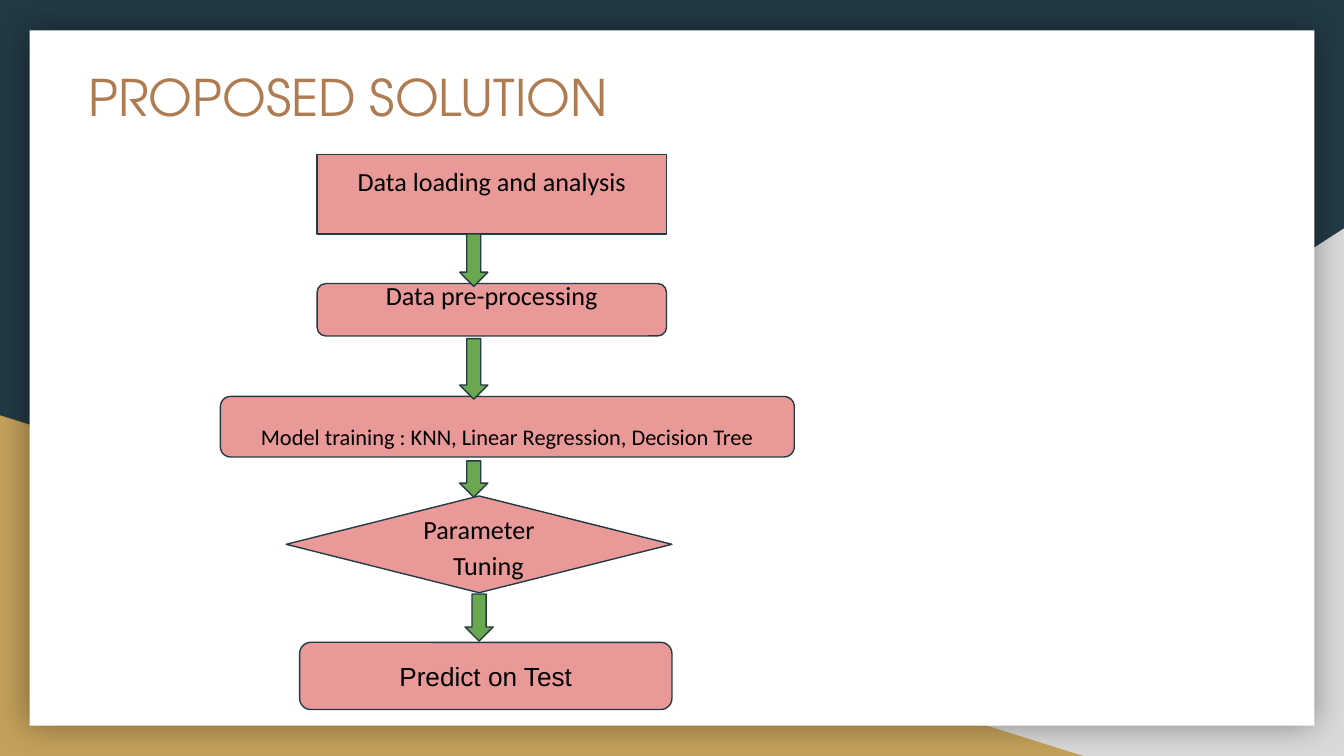
from dataclasses import dataclass

from lxml import etree
from pptx import Presentation
from pptx import util as u
from pptx.dml.color import RGBColor
from pptx.enum import shapes, text
from pptx.oxml import ns

KIND = shapes.MSO_SHAPE
COLORS = {
    "navy": "233A44", "grey": "D9D9D9", "gold": "C4A15A", "white": "FFFFFF",
    "bronze": "AF7B51", "pink": "EA9999", "green": "6AA84F", "black": "000000",
}
COLUMNS, ROWS = 100, 56.25
CELL = u.Inches(10) / COLUMNS
ARROW_WIDTH = 2.1


@dataclass(frozen=True)
class Area:
    """A rectangle in grid columns and rows."""
    left: float
    top: float
    width: float
    height: float


@dataclass(frozen=True)
class Step:
    """One step of the flow, with its label lines and text padding in rows."""
    area: Area
    lines: tuple[str, ...]
    kind: KIND = KIND.ROUNDED_RECTANGLE
    font: str = "Calibri"
    size: float = 14
    pad_top: float = 0
    pad_bottom: float = 0
    indents: tuple[float, ...] = (0,)


@dataclass(frozen=True)
class Arrow:
    """A downward arrow between two steps."""
    left: float
    top: float
    height: float


STEPS = (
    Step(Area(23.6, 11.5, 26, 5.9), ("Data loading and analysis",), KIND.RECTANGLE, pad_bottom=2),
    Step(Area(23.6, 21.1, 26, 3.9), ("Data pre-processing",), pad_bottom=2.2),
    Step(Area(16.4, 29.5, 42.7, 4.5),
         ("Model training : KNN, Linear Regression, Decision Tree",), size=12, pad_top=1.4),
    Step(Area(21.3, 36.9, 28.7, 7.2), ("Parameter", "Tuning"), KIND.DIAMOND, indents=(0, 1.4)),
    Step(Area(22.3, 47.8, 27.7, 5), ("Predict on Test",), font="Arial"),
)
ARROWS = (
    Arrow(34.2, 17.4, 3.9), Arrow(34.2, 25.2, 4.5),
    Arrow(34.2, 34.3, 2.7), Arrow(34.6, 44.2, 3.5),
)


def cells(count: float) -> u.Emu:
    """Turn grid cells into a length."""
    return u.Emu(round(count * CELL))


def place(area: Area) -> tuple[u.Emu, ...]:
    """Return left, top, width and height of an area."""
    return tuple(cells(n) for n in (area.left, area.top, area.width, area.height))


def rgb(name: str) -> RGBColor:
    """Look up a colour by name."""
    return RGBColor.from_string(COLORS[name])


def add_figure(page, kind, area: Area, fill: str, outlined: bool = False):
    """Draw a filled shape, with a thin navy outline if asked."""
    figure = page.shapes.add_shape(kind, *place(area))
    figure.shadow.inherit = False
    figure.fill.solid()
    figure.fill.fore_color.rgb = rgb(fill)
    if outlined:
        figure.line.color.rgb = rgb("navy")
        figure.line.width = u.Pt(0.75)
    else:
        figure.line.fill.background()
    return figure


def add_span(para, words: str, font: str, size: float, color: str) -> None:
    """Add one styled run to a paragraph."""
    span = para.add_run()
    span.text = words
    span.font.name = font
    span.font.size = u.Pt(size)
    span.font.color.rgb = rgb(color)


def add_step(page, step: Step) -> None:
    """Draw a step with its centred label."""
    frame = add_figure(page, step.kind, step.area, "pink", True).text_frame
    frame.word_wrap = True
    frame.vertical_anchor = text.MSO_ANCHOR.MIDDLE
    frame.margin_left = frame.margin_right = 0
    frame.margin_top = cells(step.pad_top)
    frame.margin_bottom = cells(step.pad_bottom)
    for index, (words, indent) in enumerate(zip(step.lines, step.indents)):
        para = frame.add_paragraph() if index else frame.paragraphs[0]
        para.alignment = text.PP_ALIGN.CENTER
        if len(step.lines) > 1:
            para.line_spacing = 1.15
        if indent:
            para._p.get_or_add_pPr().set("marL", str(cells(indent)))
        add_span(para, words, step.font, step.size, "black")


def add_backdrop(page) -> None:
    """Draw the coloured corners and the white panel with its soft shadow."""
    page.background.fill.solid()
    page.background.fill.fore_color.rgb = rgb("navy")
    corner = add_figure(page, KIND.RIGHT_TRIANGLE, Area(39.2, 17, 60.8, 39.25), "grey")
    corner.element.spPr.get_or_add_xfrm().set("flipH", "1")
    add_figure(page, KIND.RIGHT_TRIANGLE, Area(0, 30.9, 80.6, 25.35), "gold")
    panel = add_figure(page, KIND.RECTANGLE, Area(2.2, 2.25, 95.6, 51.75), "white")
    effects = panel.element.spPr.find(ns.qn("a:effectLst"))
    shadow = etree.SubElement(effects, ns.qn("a:outerShdw"), blurRad=str(u.Pt(18)),
                              dist="0", dir="0", algn="ctr", rotWithShape="0")
    color = etree.SubElement(shadow, ns.qn("a:srgbClr"), val=COLORS["black"])
    etree.SubElement(color, ns.qn("a:alpha"), val="40000")


def add_title(page, words: str) -> None:
    """Write the slide's heading."""
    frame = page.shapes.add_textbox(*place(Area(5.6, 3.9, 82.1, 5))).text_frame
    frame.word_wrap = True
    frame.margin_left = frame.margin_right = cells(1)
    frame.margin_top = frame.margin_bottom = cells(1)
    add_span(frame.paragraphs[0], words, "TeX Gyre Adventor", 27, "bronze")


def main() -> None:
    """Build the slide and save it."""
    deck = Presentation()
    deck.slide_width, deck.slide_height = cells(COLUMNS), cells(ROWS)
    page = deck.slides.add_slide(deck.slide_layouts[6])
    add_backdrop(page)
    add_title(page, "PROPOSED SOLUTION")
    for step in STEPS:
        add_step(page, step)
    for arrow in ARROWS:
        area = Area(arrow.left, arrow.top, ARROW_WIDTH, arrow.height)
        add_figure(page, KIND.DOWN_ARROW, area, "green", True)
    deck.save("out.pptx")


main()
